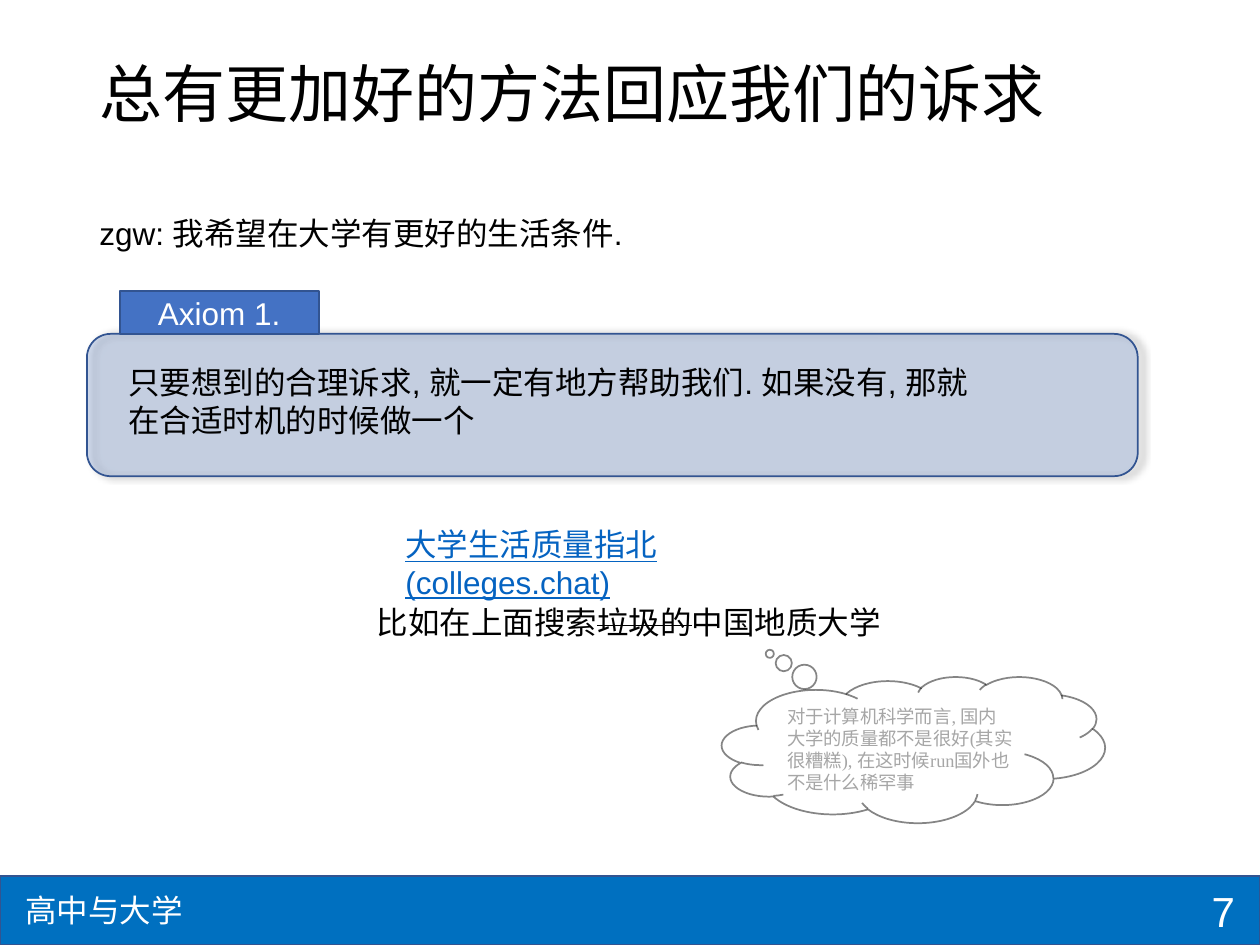
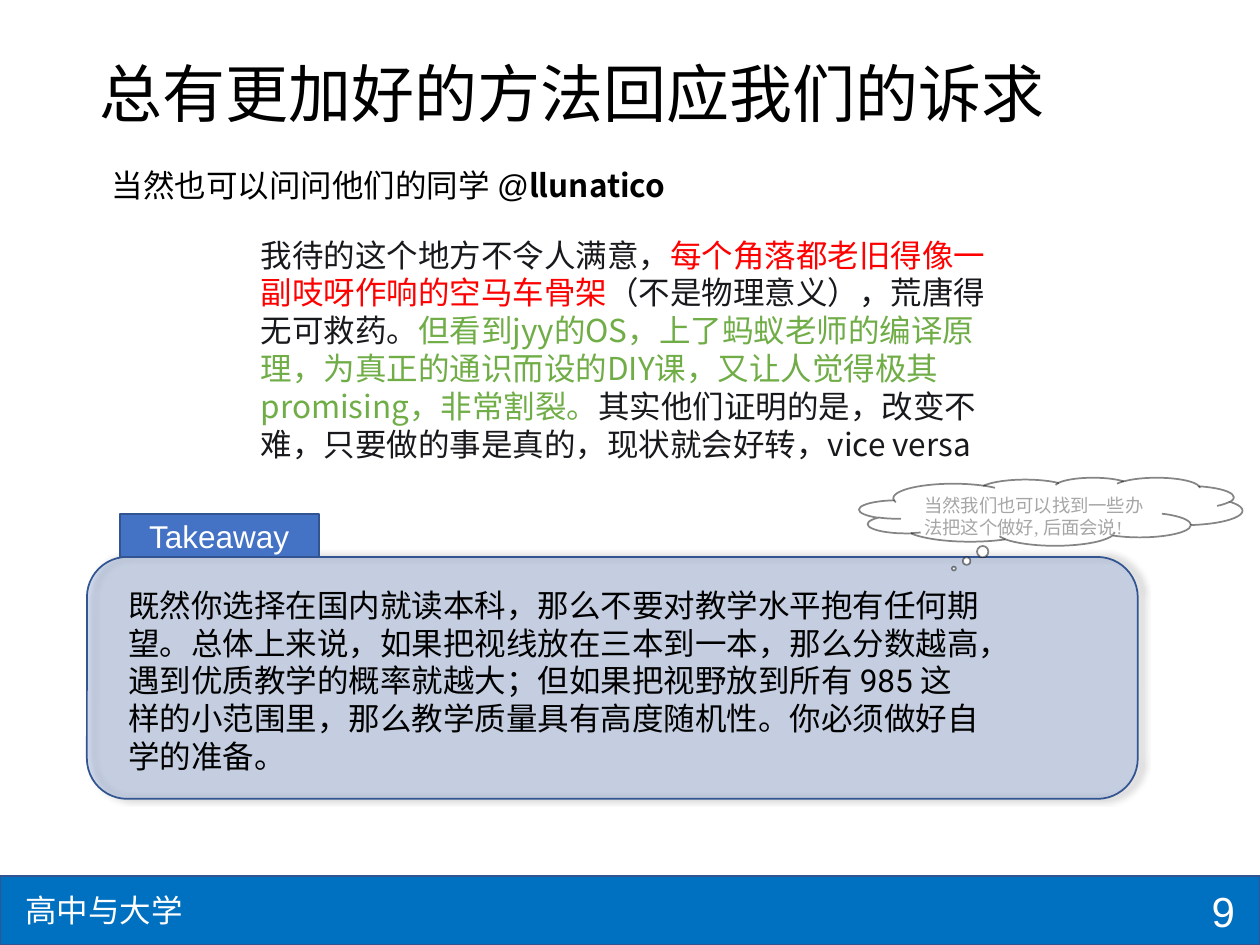
from lxml import etree
from pptx import Presentation
from pptx.dml.color import RGBColor
from pptx.enum.shapes import MSO_SHAPE
from pptx.enum.text import MSO_ANCHOR, MSO_AUTO_SIZE, PP_ALIGN
from pptx.oxml.ns import qn
from pptx.util import Inches, Pt

BLACK = RGBColor(0, 0, 0)
WHITE = RGBColor(255, 255, 255)
BAND = RGBColor(0x00, 0x70, 0xC0)
EDGE = RGBColor(0x32, 0x54, 0x91)
BLUE = RGBColor(0x44, 0x72, 0xC4)
LINK = RGBColor(0x05, 0x63, 0xC1)
GRAY = RGBColor(0xA6, 0xA6, 0xA6)
INK = RGBColor(0x18, 0x19, 0x1C)
RED = RGBColor(255, 0, 0)
GREEN = RGBColor(0x70, 0xAD, 0x47)

SANS, CJK, SERIF, ROBOTO = "Arial", "Noto Sans CJK SC", "Times New Roman", "Roboto"
TITLE = "总有更加好的方法回应我们的诉求"
LEAD = Pt(21.6)


def write(shape, runs, size=18, font=SANS, color=BLACK, align=PP_ALIGN.LEFT,
          anchor=MSO_ANCHOR.TOP, lead=None, wrap=True, under=None):
    """Fill a shape with one paragraph; runs is a text or (text, changes) pairs."""
    frame = shape.text_frame
    frame.word_wrap = wrap
    frame.vertical_anchor = anchor
    if not wrap:
        frame.auto_size = MSO_AUTO_SIZE.SHAPE_TO_FIT_TEXT
    para = frame.paragraphs[0]
    para.alignment = align
    if lead:
        para.line_spacing = lead
    for text, change in [(runs, {})] if isinstance(runs, str) else runs:
        run = para.add_run()
        run.text = text
        run.font.size = Pt(size)
        run.font.name = change.get("font", font)
        run.font.color.rgb = change.get("color", color)
        run.font.bold = change.get("bold")
        run.font.underline = under
        if change.get("strike"):
            run.font._element.set("strike", "sngStrike")


def label(shapes, box, runs, **fmt):
    shape = shapes.add_textbox(*map(Inches, box))
    write(shape, runs, **fmt)
    return shape


def draw(shapes, kind, box, fill=None, line=EDGE):
    shape = shapes.add_shape(kind, *map(Inches, box))
    shape.shadow.inherit = False
    if fill is None:
        shape.fill.background()
    else:
        shape.fill.solid()
        shape.fill.fore_color.rgb = fill
    shape.line.color.rgb = line
    shape.line.width = Pt(1)
    return shape


def fade(color, share):
    """Set the opacity of a colour element, in percent."""
    etree.SubElement(color, qn("a:alpha")).set("val", str(share * 1000))


def shade(shape):
    """Cast a soft shadow to the right."""
    effects = shape._element.spPr.find(qn("a:effectLst"))
    outer = etree.SubElement(effects, qn("a:outerShdw"), blurRad=str(Pt(4)),
                             dist=str(Pt(3)), dir="0", algn="l", rotWithShape="0")
    fade(etree.SubElement(outer, qn("a:srgbClr"), val="000000"), 40)


def frame(deck, number):
    """Add a slide with its title, footer band and page number."""
    shapes = deck.slides.add_slide(deck.slide_layouts[6]).shapes
    draw(shapes, MSO_SHAPE.RECTANGLE, (0, 6.95, 10, 0.55), BAND)
    label(shapes, (0.1, 7.02, 1.72, 0.4), "高中与大学", color=WHITE)
    label(shapes, (7.65, 7.03, 2.25, 0.4), str(number), size=24, color=WHITE,
          align=PP_ALIGN.RIGHT, anchor=MSO_ANCHOR.MIDDLE)
    label(shapes, (0.69, 0.4, 8.62, 0.74), TITLE, size=36, lead=0.9,
          anchor=MSO_ANCHOR.MIDDLE)
    return shapes


def panel(shapes, box, tag, text, **fmt):
    """Draw a tinted panel with a tag standing on its top edge."""
    left, top, width, height = box
    parts = shapes.add_group_shape().shapes
    back = draw(parts, MSO_SHAPE.ROUNDED_RECTANGLE, box, BLUE)
    fade(back._element.spPr.find(qn("a:solidFill"))[0], 22)
    shade(back)
    head = draw(parts, MSO_SHAPE.RECTANGLE, (left + 0.26, top - 0.34, 1.58, 0.34), BLUE)
    write(head, tag, color=WHITE, align=PP_ALIGN.CENTER, anchor=MSO_ANCHOR.MIDDLE)
    label(parts, (left + 0.23, top + 0.18, 6.97, height - 0.3), text, **fmt)


def cloud(shapes, box, tip, text, fill=None):
    shape = draw(shapes, MSO_SHAPE.CLOUD_CALLOUT, box, fill, BLACK)
    fade(shape.line._ln.find(qn("a:solidFill"))[0], 47)
    for i, value in enumerate(tip):
        shape.adjustments[i] = value
    write(shape, text, size=10.5, font=SERIF, color=GRAY)


def axiom(deck):
    shapes = frame(deck, 7)
    link = label(shapes, (3.12, 4.12, 3.93, 0.4), "大学生活质量指北 (colleges.chat)",
                 color=LINK, under=True)
    link.text_frame.margin_right = Inches(1.5)
    label(shapes, (0.69, 1.65, 4.4, 0.4), "zgw: 我希望在大学有更好的生活条件.", wrap=False)
    panel(shapes, (0.69, 2.65, 8.34, 1.13), "Axiom 1.",
          "只要想到的合理诉求, 就一定有地方帮助我们. 如果没有, 那就在合适时机的时候做一个")
    label(shapes, (2.89, 4.74, 4.24, 0.4),
          [("比如在上面搜索", {}), ("垃圾的", {"strike": True}), ("中国地质大学", {})],
          wrap=False)
    cloud(shapes, (5.73, 5.37, 3.04, 1.16), (-0.375, -0.656),
          "对于计算机科学而言, 国内大学的质量都不是很好(其实很糟糕), "
          "在这时候run国外也不是什么稀罕事")


def takeaway(deck):
    shapes = frame(deck, 9)
    label(shapes, (0.79, 1.27, 6.85, 0.4),
          [("当然也可以问问他们的同学 @", {}), ("llunatico", {"font": CJK, "bold": True})],
          lead=LEAD)
    label(shapes, (1.97, 1.82, 6.05, 1.92), [
        ("我待的这个地方不令人满意，", {}),
        ("每个角落都老旧得像一副吱呀作响的空马车骨架", {"color": RED}),
        ("（不是物理意义），荒唐得无可救药。", {}),
        ("但看到jyy的OS，上了蚂蚁老师的编译原理，为真正的通识而设的DIY课，"
         "又让人觉得极其promising，非常割裂。", {"color": GREEN}),
        ("其实他们证明的是，改变不难，只要做的事是真的，现状就会好转，vice versa", {}),
    ], font=CJK, color=INK, lead=LEAD)
    panel(shapes, (0.69, 4.42, 8.34, 1.92), "Takeaway",
          "既然你选择在国内就读本科，那么不要对教学水平抱有任何期望。总体上来说，"
          "如果把视线放在三本到一本，那么分数越高，遇到优质教学的概率就越大；"
          "但如果把视野放到所有 985 这样的小范围里，那么教学质量具有高度随机性。"
          "你必须做好自学的准备。", font=ROBOTO, lead=LEAD)
    cloud(shapes, (6.82, 3.79, 3.04, 0.54), (-0.253, 0.838),
          "当然我们也可以找到一些办法把这个做好, 后面会说!", WHITE)


def main():
    deck = Presentation()
    deck.slide_width, deck.slide_height = Inches(10), Inches(7.5)
    axiom(deck)
    takeaway(deck)
    deck.save("out.pptx")


if __name__ == "__main__":
    main()
